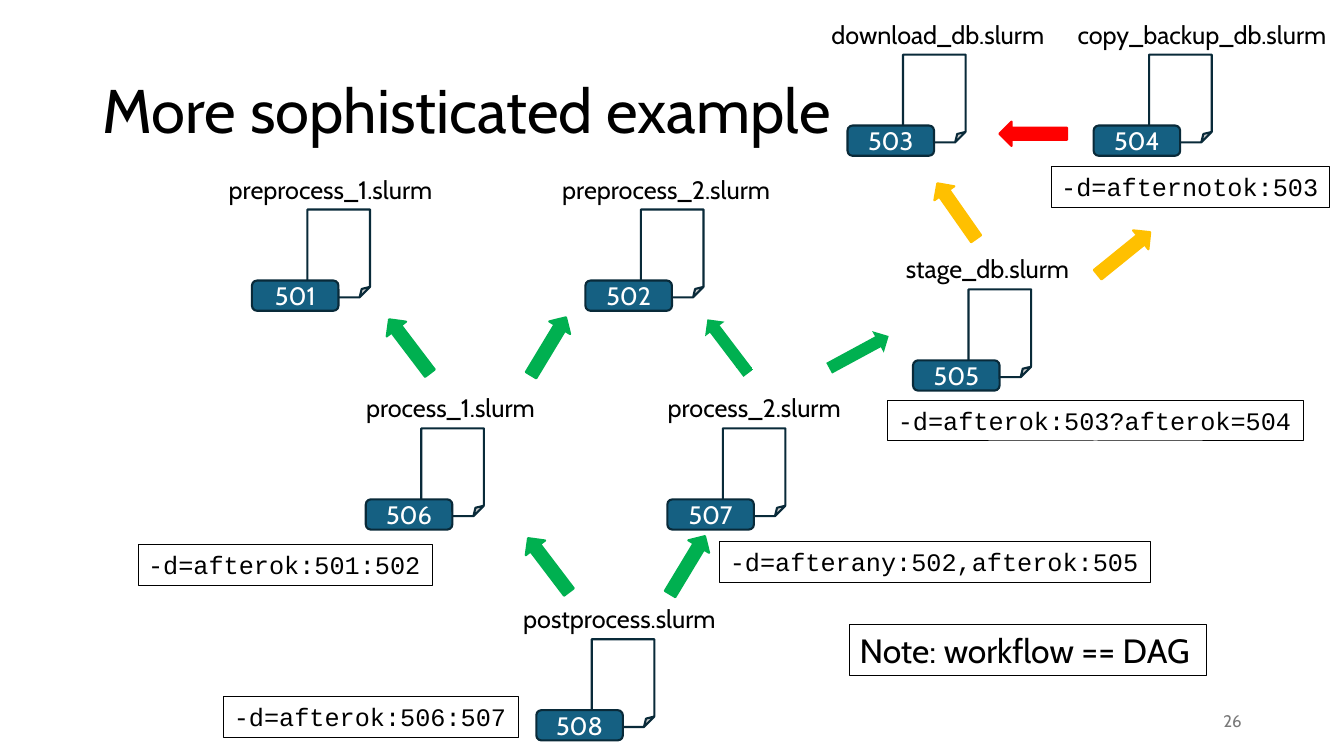
from dataclasses import dataclass
from typing import Any, Optional

from pptx import Presentation
from pptx.dml.color import RGBColor
from pptx.enum.dml import MSO_PATTERN
from pptx.enum.shapes import MSO_SHAPE
from pptx.enum.text import MSO_ANCHOR, MSO_AUTO_SIZE, PP_ALIGN
from pptx.util import Inches, Pt

COLS, ROWS = 32, 18


@dataclass(frozen=True)
class Theme:
    sans: str = "Cabin"
    mono: str = "Courier New"
    ink: str = "000000"
    paper: str = "FFFFFF"
    gray: str = "797979"
    badge: str = "156082"
    edge: str = "092A39"
    green: str = "00B050"
    gold: str = "FFC000"
    red: str = "FF0000"
    head: int = 44
    note: int = 24
    text: int = 18
    small: int = 12


@dataclass(frozen=True)
class Job:
    code: str
    name: str
    col: float
    row: float
    shift: float
    width: float


@dataclass(frozen=True)
class Arrow:
    col: float
    row: float
    turn: float
    color: str
    edged: bool = True
    striped: bool = False


@dataclass(frozen=True)
class Flag:
    text: str
    col: float
    row: float
    width: float


THEME = Theme()
LEFT, RIGHT = 322.8, 31.1  # arrow turns in degrees

JOBS = [
    Job("501", "preprocess_1.slurm", 7.32, 4.99, -2.11, 5.71),
    Job("502", "preprocess_2.slurm", 15.26, 4.99, -2.11, 5.71),
    Job("506", "process_1.slurm", 10.03, 10.2, -1.55, 4.85),
    Job("507", "process_2.slurm", 17.21, 10.2, -1.55, 4.85),
    Job("508", "postprocess.slurm", 14.09, 15.22, -1.87, 5.4),
    Job("503", "download_db.slurm", 21.5, 1.3, -1.94, 5.69),
    Job("504", "copy_backup_db.slurm", 27.36, 1.3, -1.94, 6.58),
    Job("505", "stage_db.slurm", 23.06, 6.89, -1.73, 4.51),
]
ARROWS = [
    Arrow(9.46, 7.44, LEFT, THEME.green),
    Arrow(12.77, 7.44, RIGHT, THEME.green),
    Arrow(17.04, 7.44, LEFT, THEME.green, edged=False, striped=True),
    Arrow(12.77, 12.65, LEFT, THEME.green),
    Arrow(16.08, 12.65, RIGHT, THEME.green),
    Arrow(20.16, 7.58, 61.6, THEME.green, edged=False),
    Arrow(24.31, 2.38, 270, THEME.red),
    Arrow(26.47, 5.23, 51, THEME.gold),
    Arrow(22.49, 4.22, 325, THEME.gold),
]
FLAGS = [
    Flag("-d=afterok:501:502", 3.29, 12.96, 7.01),
    Flag("-d=afterany:502,afterok:505", 17.14, 12.89, 10.25),
    Flag("-d=afterok:506:507", 5.33, 16.58, 7.01),
    Flag("-d=afternotok:503", 25.03, 3.96, 6.62),
    Flag("-d=afterok:503?afterok=504", 21.14, 9.53, 9.89),
]

deck = Presentation()
deck.slide_width, deck.slide_height = Inches(13.33), Inches(7.5)
slide = deck.slides.add_slide(deck.slide_layouts[5])


def apply(item: Any, form: dict[str, Any]) -> None:
    for key, value in form.items():
        setattr(item, key, value)


def grid(col: float, row: float, wide: float, tall: float) -> tuple[int, ...]:
    dx, dy = deck.slide_width / COLS, deck.slide_height / ROWS
    return round(col * dx), round(row * dy), round(wide * dx), round(tall * dy)


def write(shape: Any, text: str, size: int, color: str = THEME.ink,
          face: str = THEME.sans, frame: Optional[dict] = None,
          para: Optional[dict] = None) -> None:
    shape.text_frame.text = text
    apply(shape.text_frame, frame or {})
    line = shape.text_frame.paragraphs[0]
    apply(line, para or {})
    font = line.runs[0].font
    apply(font, {"size": Pt(size), "name": face})
    font.color.rgb = RGBColor.from_string(color)


def stroke(shape: Any, color: str, width: float) -> None:
    shape.line.color.rgb = RGBColor.from_string(color)
    shape.line.width = Pt(width)


def form(kind: MSO_SHAPE, box: tuple[int, ...], fill: str,
         edge: Optional[str]) -> Any:
    shape = slide.shapes.add_shape(kind, *box)
    shape.shadow.inherit = False
    shape.fill.solid()
    shape.fill.fore_color.rgb = RGBColor.from_string(fill)
    if edge:
        stroke(shape, edge, 1.5)
    else:
        shape.line.fill.background()
    return shape


def label(box: tuple[int, ...], text: str, size: int = THEME.text,
          face: str = THEME.sans, framed: bool = False) -> None:
    shape = slide.shapes.add_textbox(*box)
    write(shape, text, size, face=face, frame={
        "word_wrap": False, "auto_size": MSO_AUTO_SIZE.SHAPE_TO_FIT_TEXT})
    if framed:
        stroke(shape, THEME.ink, 0.75)


def draw_job(job: Job) -> None:
    form(MSO_SHAPE.FOLDED_CORNER, grid(job.col, job.row, 1.49, 2.09),
         THEME.paper, THEME.edge)
    label(grid(job.col + job.shift, job.row - 0.97, job.width, 0.97), job.name)
    badge = form(MSO_SHAPE.ROUNDED_RECTANGLE,
                 grid(job.col - 1.32, job.row + 1.69, 2.06, 0.72),
                 THEME.badge, THEME.edge)
    write(badge, job.code, THEME.text, THEME.paper,
          frame={"vertical_anchor": MSO_ANCHOR.MIDDLE},
          para={"alignment": PP_ALIGN.CENTER})


def draw_arrow(arrow: Arrow) -> None:
    shape = form(MSO_SHAPE.UP_ARROW, grid(arrow.col, arrow.row, 0.58, 1.61),
                 arrow.color, arrow.color if arrow.edged else None)
    shape.rotation = arrow.turn
    if arrow.striped:
        shape.fill.patterned()
        shape.fill.pattern = MSO_PATTERN.DARK_HORIZONTAL
        shape.fill.fore_color.rgb = RGBColor.from_string(arrow.color)
        shape.fill.back_color.rgb = RGBColor.from_string(THEME.paper)


def main() -> None:
    # Title and page number
    title = slide.shapes.title
    apply(title, dict(zip(("left", "top", "width", "height"),
                          grid(2.2, 0.96, 27.6, 3.48))))
    middle = {"vertical_anchor": MSO_ANCHOR.MIDDLE, "word_wrap": True}
    write(title, "More sophisticated example", THEME.head,
          frame={**middle, "auto_size": MSO_AUTO_SIZE.NONE},
          para={"alignment": PP_ALIGN.LEFT, "line_spacing": 0.9})
    number = slide.shapes.add_textbox(*grid(22.6, 16.68, 7.2, 0.96))
    write(number, "26", THEME.small, THEME.gray, frame=middle,
          para={"alignment": PP_ALIGN.RIGHT})

    # Workflow graph
    for job in JOBS:
        draw_job(job)
    for arrow in ARROWS:
        draw_arrow(arrow)

    # Dependency flags and closing note
    for flag in FLAGS:
        label(grid(flag.col, flag.row, flag.width, 0.97), flag.text,
              face=THEME.mono, framed=True)
    label(grid(20.23, 14.88, 8.5, 1.21), "Note: workflow == DAG",
          THEME.note, framed=True)

    deck.save("out.pptx")


if __name__ == "__main__":
    main()
